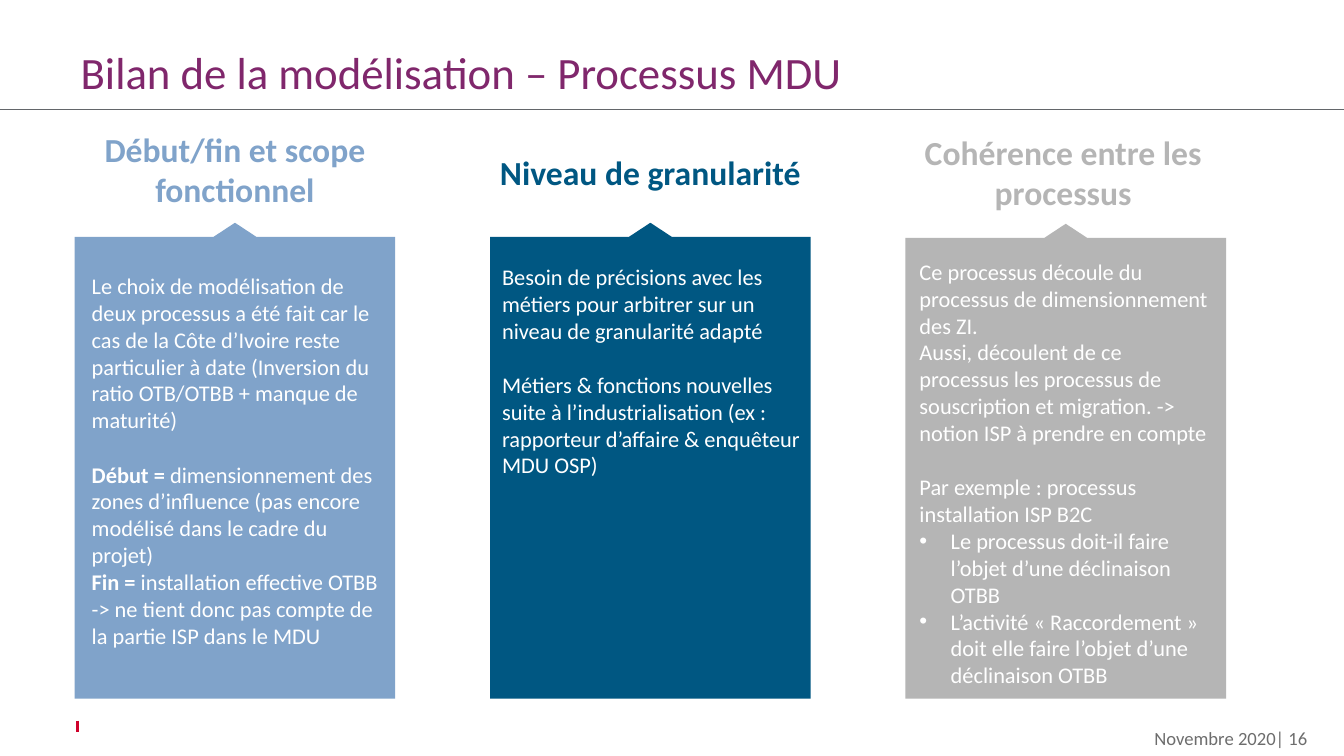
import pptx
import pptx.util
import pptx.dml.color
import pptx.enum.shapes
import pptx.enum.text
from lxml import etree

Inches, Pt = pptx.util.Inches, pptx.util.Pt
ALIGN, ANCHOR = pptx.enum.text.PP_ALIGN, pptx.enum.text.MSO_ANCHOR
AUTO_SIZE = pptx.enum.text.MSO_AUTO_SIZE

# Content: each paragraph is (style, run, run, ...); a run is (text, bold)
TITLE = "Bilan de la modélisation – Processus MDU"
FOOTER = "Novembre 2020| 16"
COLUMNS = [
    {"heading": "Début/fin et scope fonctionnel", "color": "80A3CA",
     "heading_top": 1.23, "heading_height": 0.91, "heading_width": 3.18,
     "callout_top": 2.21, "body_inset": 0.17, "body_top": 2.7, "body_width": 2.85,
     "body": [
         ("plain", ("Le choix de modélisation de deux processus a été fait car le cas de la "
                    "Côte d’Ivoire reste particulier à date (Inversion du ratio OTB/OTBB + "
                    "manque de maturité)", False)),
         ("gap", ("Début = ", True),
          ("dimensionnement des zones d’influence (pas encore modélisé dans le cadre "
           "du projet)", False)),
         ("plain", ("Fin = ", True),
          ("installation effective OTBB -> ne tient donc pas compte de la partie ISP "
           "dans le MDU", False))]},
    {"heading": "Niveau de granularité", "color": "005782",
     "heading_top": 1.46, "heading_height": 0.5, "heading_width": 3.18,
     "callout_top": 2.21, "body_inset": 0.12, "body_top": 2.61, "body_width": 3,
     "body": [
         ("plain", ("Besoin de précisions avec les métiers pour arbitrer sur un niveau de "
                    "granularité adapté", False)),
         ("gap", ("Métiers & fonctions nouvelles suite à l’industrialisation (ex : "
                  "rapporteur d’affaire & enquêteur MDU OSP)", False))]},
    {"heading": "Cohérence entre les processus", "color": "B5B5B5",
     "heading_top": 1.26, "heading_height": 0.91, "heading_width": 3.13,
     "callout_top": 2.22, "body_inset": 0.14, "body_top": 2.56, "body_width": 2.9,
     "body": [
         ("plain", ("Ce processus découle du processus de dimensionnement des ZI.", False)),
         ("plain", ("Aussi, découlent de ce processus les processus de souscription et "
                    "migration. -> notion ISP à prendre en compte", False)),
         ("gap", ("Par exemple : processus installation ISP B2C", False)),
         ("bullet", ("Le processus doit-il faire l’objet d’une déclinaison OTBB", False)),
         ("bullet", ("L’activité « Raccordement » doit elle faire l’objet d’une "
                     "déclinaison OTBB", False))]},
]

# Grid, in inches
SLIDE_WIDTH, SLIDE_HEIGHT = 13.33, 7.5
FIRST_LEFT, COLUMN_STEP, COLUMN_WIDTH = 0.74, 4.12, 3.18
CALLOUT_BOTTOM, BODY_BOTTOM = 6.93, 6.86
CALLOUT_ADJUSTMENTS = (0.25, 0.067, 0.044, 0.975)
BLANK_LINE = 19.5


def rgb(color):
    return pptx.dml.color.RGBColor.from_string(color)


def add_bullet(paragraph):
    properties = paragraph._p.get_or_add_pPr()
    properties.set("marL", str(Inches(0.31)))
    properties.set("indent", str(-Inches(0.31)))
    namespace = pptx.oxml.ns.qn("a:buFont")
    etree.SubElement(properties, namespace, typeface="Arial")
    etree.SubElement(properties, pptx.oxml.ns.qn("a:buChar"), char="•")


def write_text(shape, paragraphs, size, color, align=ALIGN.LEFT,
               anchor=ANCHOR.TOP, margins=(0, 0)):
    frame = shape.text_frame
    frame.word_wrap = True
    frame.auto_size = AUTO_SIZE.NONE
    frame.vertical_anchor = anchor
    frame.margin_left = frame.margin_right = Inches(margins[0])
    frame.margin_top = frame.margin_bottom = Inches(margins[1])
    for index, (style, *runs) in enumerate(paragraphs):
        paragraph = frame.paragraphs[0] if index == 0 else frame.add_paragraph()
        paragraph.alignment = align
        paragraph.space_before = Pt(BLANK_LINE if style == "gap" else 0)
        if style == "bullet":
            add_bullet(paragraph)
        for text, bold in runs:
            run = paragraph.add_run()
            run.text = text
            run.font.name, run.font.size, run.font.bold = "Calibri", Pt(size), bold
            run.font.color.rgb = rgb(color)


def add_text(slide, left, top, width, height, paragraphs, **formatting):
    box = slide.shapes.add_textbox(*map(Inches, (left, top, width, height)))
    write_text(box, paragraphs, **formatting)


def add_line(slide, start, end, color, weight):
    line = slide.shapes.add_connector(
        pptx.enum.shapes.MSO_CONNECTOR.STRAIGHT, *map(Inches, start + end))
    line.line.color.rgb, line.line.width = rgb(color), Pt(weight)
    etree.SubElement(line._element.spPr, pptx.oxml.ns.qn("a:effectLst"))


def add_column(slide, left, column):
    callout = slide.shapes.add_shape(
        pptx.enum.shapes.MSO_SHAPE.DOWN_ARROW_CALLOUT,
        *map(Inches, (left, column["callout_top"], COLUMN_WIDTH,
                      CALLOUT_BOTTOM - column["callout_top"])))
    callout.rotation = 180
    callout.shadow.inherit = False
    for index, value in enumerate(CALLOUT_ADJUSTMENTS):
        callout.adjustments[index] = value
    callout.fill.solid()
    callout.fill.fore_color.rgb = rgb(column["color"])
    callout.line.fill.background()

    add_text(slide, left, column["heading_top"], column["heading_width"],
             column["heading_height"], [("plain", (column["heading"], True))],
             size=24, color=column["color"], align=ALIGN.CENTER, margins=(0.1, 0.05))
    add_text(slide, left + column["body_inset"], column["body_top"],
             column["body_width"], BODY_BOTTOM - column["body_top"],
             column["body"], size=16, color="FFFFFF")


def main():
    presentation = pptx.Presentation()
    presentation.slide_width = Inches(SLIDE_WIDTH)
    presentation.slide_height = Inches(SLIDE_HEIGHT)
    slide = presentation.slides.add_slide(presentation.slide_layouts[5])

    # Title, rule and footer
    title = slide.shapes.title
    title.left, title.top, title.width, title.height = map(
        Inches, (0.8, 0.53, 11.73, 0.36))
    write_text(title, [("plain", (TITLE, False))], size=32, color="80276C",
               anchor=ANCHOR.MIDDLE)
    add_line(slide, (0, 1.09), (SLIDE_WIDTH, 1.09), "63666A", 0.75)
    add_line(slide, (0.77, 7.15), (0.77, 7.26), "CF022B", 2.25)
    add_text(slide, 9, 7.21, 3.97, 0.22, [("plain", (FOOTER, False))], size=13.3,
             color="6D6D6D", align=ALIGN.RIGHT, anchor=ANCHOR.MIDDLE)

    # Three columns
    for index, column in enumerate(COLUMNS):
        add_column(slide, FIRST_LEFT + index * COLUMN_STEP, column)

    presentation.save("out.pptx")


if __name__ == "__main__":
    main()
